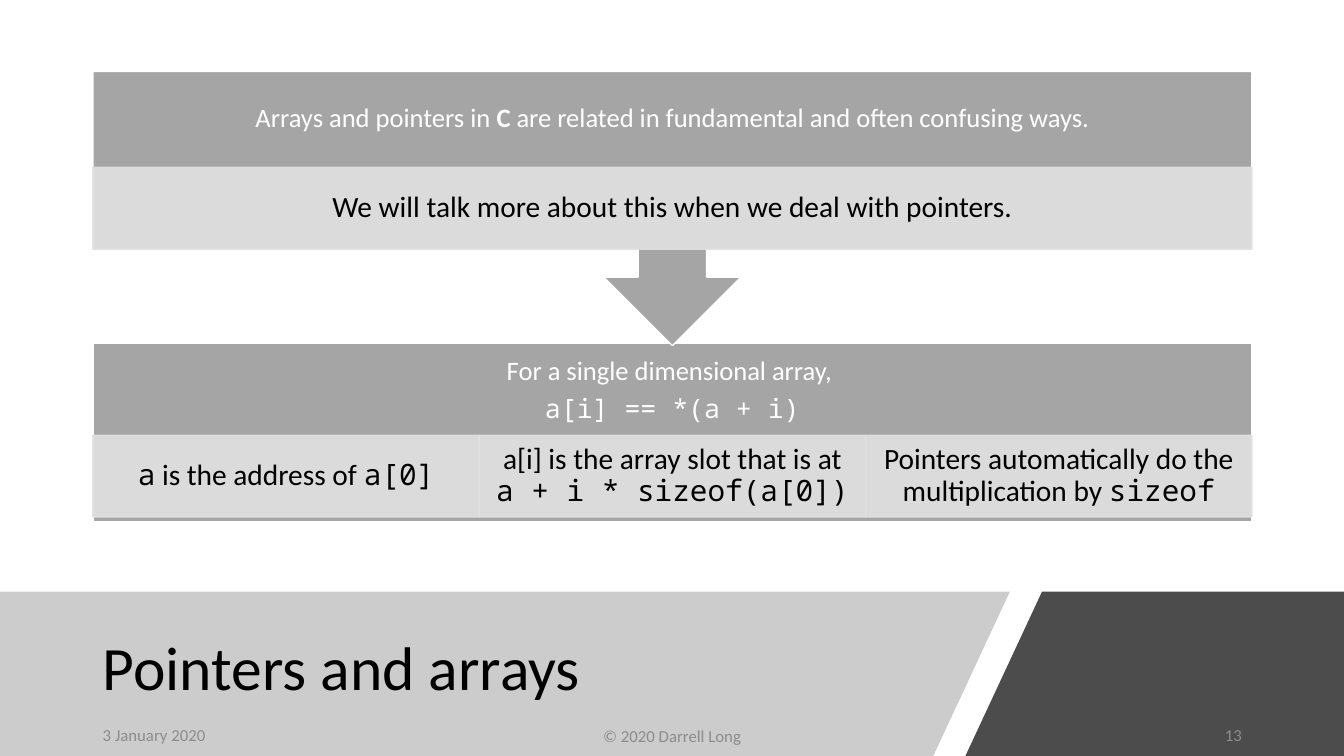
import dataclasses
import typing

import pptx
import pptx.dml.color
import pptx.enum.shapes
import pptx.enum.text
import pptx.oxml.ns
import pptx.util
from lxml import etree

Cm = pptx.util.Cm
Pt = pptx.util.Pt
ALIGN = pptx.enum.text.PP_ALIGN
SHAPE = pptx.enum.shapes.MSO_SHAPE

SANS = "Calibri"
MONO = "Noto Sans Mono"
LEFT, WIDTH = 2.34, 29.21
SLIDE_W, SLIDE_H = 33.87, 19.05
BAND_TOP = 14.91
TILE_H = 2.06
HEADER_H = 2.41


@dataclasses.dataclass
class Run:
    text: str
    font: str = SANS
    bold: bool = False


@dataclasses.dataclass
class Box:
    left: float
    top: float
    width: float
    height: float


@dataclasses.dataclass
class Style:
    size: float
    color: str
    align: typing.Any = ALIGN.CENTER
    inset_x: float = 0.25
    inset_y: float = 0.13
    line: float = 0.9


@dataclasses.dataclass
class Label:
    box: Box
    paragraphs: list[list[Run]]
    style: Style


HEADER = Style(19, "FFFFFF", inset_x=0.38, inset_y=0.38)
TILE = Style(21, "000000", inset_x=0.41, inset_y=0.08)
TITLE = Style(44, "000000", ALIGN.LEFT)


def footer(align: typing.Any) -> Style:
    return Style(12, "8C8C8C", align, line=1.0)


def paint(fmt, color: str, opacity: int = 100) -> None:
    fmt.solid()
    fmt.fore_color.rgb = pptx.dml.color.RGBColor.from_string(color)
    if opacity < 100:
        clr = fmt._xPr.find(".//" + pptx.oxml.ns.qn("a:srgbClr"))
        etree.SubElement(clr, pptx.oxml.ns.qn("a:alpha"), val=str(opacity * 1000))


def write(sp, paragraphs: list[list[Run]], style: Style) -> None:
    tf = sp.text_frame
    tf.word_wrap = True
    tf.vertical_anchor = pptx.enum.text.MSO_ANCHOR.MIDDLE
    tf.margin_left = tf.margin_right = Cm(style.inset_x)
    tf.margin_top = tf.margin_bottom = Cm(style.inset_y)
    for i, runs in enumerate(paragraphs):
        p = tf.add_paragraph() if i else tf.paragraphs[0]
        p.alignment = style.align
        p.line_spacing = style.line
        if i:
            p.space_before = Pt(0.35 * style.size)
        for run in runs:
            r = p.add_run()
            r.text = run.text
            r.font.name = run.font
            r.font.size = Pt(style.size)
            r.font.bold = run.bold
            paint(r.font.fill, style.color)


def add_label(s, label: Label) -> None:
    b = label.box
    sp = s.shapes.add_textbox(Cm(b.left), Cm(b.top), Cm(b.width), Cm(b.height))
    write(sp, label.paragraphs, label.style)


def add_block(s, kind, b: Box, fill: str, line: str, opacity: int = 100):
    sp = s.shapes.add_shape(kind, Cm(b.left), Cm(b.top), Cm(b.width), Cm(b.height))
    sp.shadow.inherit = False
    paint(sp.fill, fill, opacity)
    paint(sp.line.fill, line, opacity)
    sp.line.width = Pt(1)
    return sp


def add_tile(s, label: Label) -> None:
    sp = add_block(s, SHAPE.RECTANGLE, label.box, "E1E1E1", "E1E1E1", 90)
    write(sp, label.paragraphs, label.style)


def add_band(s, points: list[tuple[float, float]], color: str, opacity: int) -> None:
    start, *rest = [(Cm(x), Cm(y)) for x, y in points]
    fb = s.shapes.build_freeform(*start)
    fb.add_line_segments(rest, close=True)
    sp = fb.convert_to_shape()
    sp.shadow.inherit = False
    paint(sp.fill, color, opacity)
    sp.line.fill.background()


def main() -> None:
    prs = pptx.Presentation()
    prs.slide_width, prs.slide_height = Cm(SLIDE_W), Cm(SLIDE_H)
    s = prs.slides.add_slide(prs.slide_layouts[6])

    add_band(s, [(0, BAND_TOP), (25.45, BAND_TOP), (23.52, SLIDE_H), (0, SLIDE_H)],
             "808080", 40)
    add_label(s, Label(Box(LEFT, 15.37, 21.44, 3.05), [[Run("Pointers and arrays")]], TITLE))
    add_band(s, [(26.26, BAND_TOP), (SLIDE_W, BAND_TOP), (SLIDE_W, SLIDE_H), (24.33, SLIDE_H)],
             "000000", 70)

    add_block(s, SHAPE.RECTANGLE, Box(LEFT, 8.64, WIDTH, 4.5), "A5A5A5", "FFFFFF")
    add_label(s, Label(Box(LEFT, 8.64, WIDTH, HEADER_H), [
        [Run("For a single dimensional array, ")],
        [Run("a[i] == *(a + i)", MONO)],
    ], HEADER))

    facts = [
        [Run("a", MONO), Run(" is the address of "), Run("a[0]", MONO)],
        [Run("a[i] is the array slot that is at "), Run("a + i * sizeof(a[0])", MONO)],
        [Run("Pointers automatically do the multiplication by "), Run("sizeof", MONO)],
    ]
    tile_w = WIDTH / len(facts)
    for i, runs in enumerate(facts):
        add_tile(s, Label(Box(LEFT + i * tile_w, 10.97, tile_w, TILE_H), [runs], TILE))

    callout = add_block(s, SHAPE.UP_ARROW_CALLOUT, Box(LEFT, 1.8, WIDTH, 6.91),
                        "A5A5A5", "FFFFFF")
    callout.rotation = 180
    add_label(s, Label(Box(LEFT, 1.8, WIDTH, HEADER_H), [[
        Run("Arrays and pointers in "),
        Run("C", bold=True),
        Run(" are related in fundamental and often confusing ways."),
    ]], HEADER))
    add_tile(s, Label(Box(LEFT, 4.22, WIDTH, TILE_H), [
        [Run("We will talk more about this when we deal with pointers.")],
    ], TILE))

    for left, top, width, text, align in [
        (11.1, 18.03, 11.68, "© 2020 Darrell Long", ALIGN.CENTER),
        (23.93, 18.01, 7.62, "13", ALIGN.RIGHT),
        (LEFT, 18.01, 7.62, "3 January 2020", ALIGN.LEFT),
    ]:
        add_label(s, Label(Box(left, top, width, 1.02), [[Run(text)]], footer(align)))

    prs.save("out.pptx")


if __name__ == "__main__":
    main()
